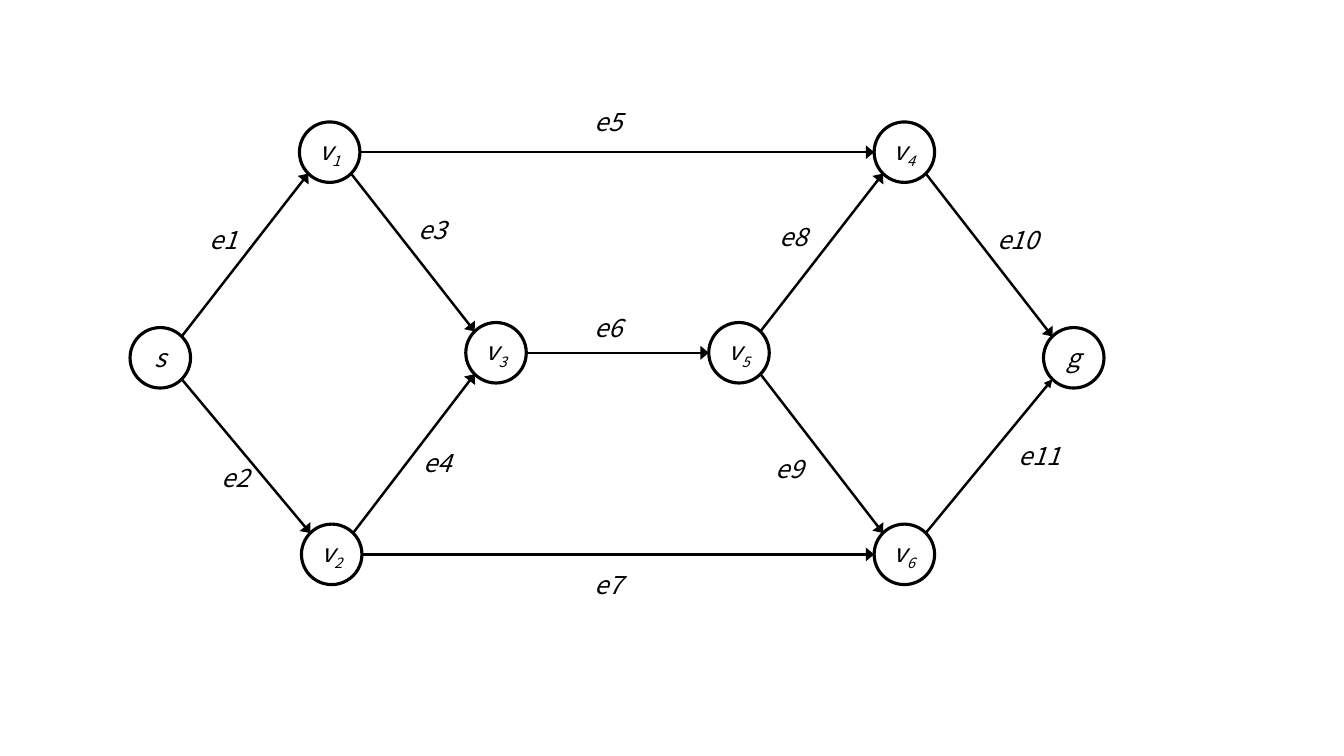
from dataclasses import dataclass
from lxml import etree
from pptx import Presentation
from pptx.dml.color import RGBColor
from pptx.enum.shapes import MSO_CONNECTOR, MSO_SHAPE
from pptx.enum.text import MSO_ANCHOR, MSO_AUTO_SIZE, PP_ALIGN
from pptx.oxml.ns import qn
from pptx.util import Inches, Pt


@dataclass(frozen=True)
class Theme:
    ink: RGBColor = RGBColor(0, 0, 0)
    font: str = "Noto Sans CJK JP"
    text_size: Pt = Pt(18)
    node_line: Pt = Pt(2.25)
    edge_line: Pt = Pt(1.75)


theme = Theme()
DIAMETER = 0.6
RADIUS = DIAMETER / 2
DIAGONAL = RADIUS * 0.5 ** 0.5

nodes = {
    "s": (1.59, 3.55), "v1": (3.27, 1.51), "v2": (3.29, 5.5),
    "v3": (4.92, 3.5), "v5": (7.33, 3.5), "v4": (8.97, 1.51),
    "v6": (8.97, 5.5), "g": (10.65, 3.55),
}
edges = {
    "e1": ("s", "v1", 1.98, 2.18), "e2": ("s", "v2", 2.1, 4.54),
    "e3": ("v1", "v3", 4.05, 2.08), "e4": ("v2", "v3", 4.1, 4.39),
    "e5": ("v1", "v4", 5.8, 1.01), "e6": ("v3", "v5", 5.8, 3.05),
    "e7": ("v2", "v6", 5.8, 5.6), "e8": ("v5", "v4", 7.63, 2.15),
    "e9": ("v5", "v6", 7.59, 4.45), "e10": ("v4", "g", 9.79, 2.18),
    "e11": ("v6", "g", 10, 4.32),
}


def add_text(paragraph, text):
    run = paragraph.add_run()
    run.text = text
    run.font.name = theme.font
    run.font.size = theme.text_size
    run.font.italic = True
    run.font.color.rgb = theme.ink
    return run


prs = Presentation()
prs.slide_width, prs.slide_height = Inches(13.33), Inches(7.5)
shapes = prs.slides.add_slide(prs.slide_layouts[6]).shapes

for name, (x, y) in nodes.items():
    node = shapes.add_shape(MSO_SHAPE.OVAL, Inches(x - RADIUS), Inches(y - RADIUS),
                            Inches(DIAMETER), Inches(DIAMETER))
    node.shadow.inherit = False
    node.fill.background()
    node.line.color.rgb = theme.ink
    node.line.width = theme.node_line
    frame = node.text_frame
    frame.word_wrap = False
    frame.vertical_anchor = MSO_ANCHOR.MIDDLE
    frame.margin_left = frame.margin_right = 0
    paragraph = frame.paragraphs[0]
    paragraph.alignment = PP_ALIGN.CENTER
    add_text(paragraph, name[0])
    if name[1:]:
        index = add_text(paragraph, name[1:])
        index.font._element.set("baseline", "-25000")

for name, (source, target, label_x, label_y) in edges.items():
    (x1, y1), (x2, y2) = nodes[source], nodes[target]
    rise = (y2 > y1) - (y2 < y1)
    dx = DIAGONAL if rise else RADIUS
    dy = DIAGONAL * rise
    edge = shapes.add_connector(MSO_CONNECTOR.STRAIGHT, Inches(x1 + dx), Inches(y1 + dy),
                                Inches(x2 - dx), Inches(y2 - dy))
    edge.line.color.rgb = theme.ink
    edge.line.width = theme.edge_line
    etree.SubElement(edge.line._get_or_add_ln(), qn("a:tailEnd"), type="triangle",
                     w="med" if name == "e11" else "lg", len="med")
    etree.SubElement(edge._element.spPr, qn("a:effectLst"))

    label = shapes.add_textbox(Inches(label_x), Inches(label_y), Inches(0.65), Inches(0.4))
    label.text_frame.word_wrap = True
    label.text_frame.auto_size = MSO_AUTO_SIZE.SHAPE_TO_FIT_TEXT
    add_text(label.text_frame.paragraphs[0], name)

prs.save("out.pptx")
